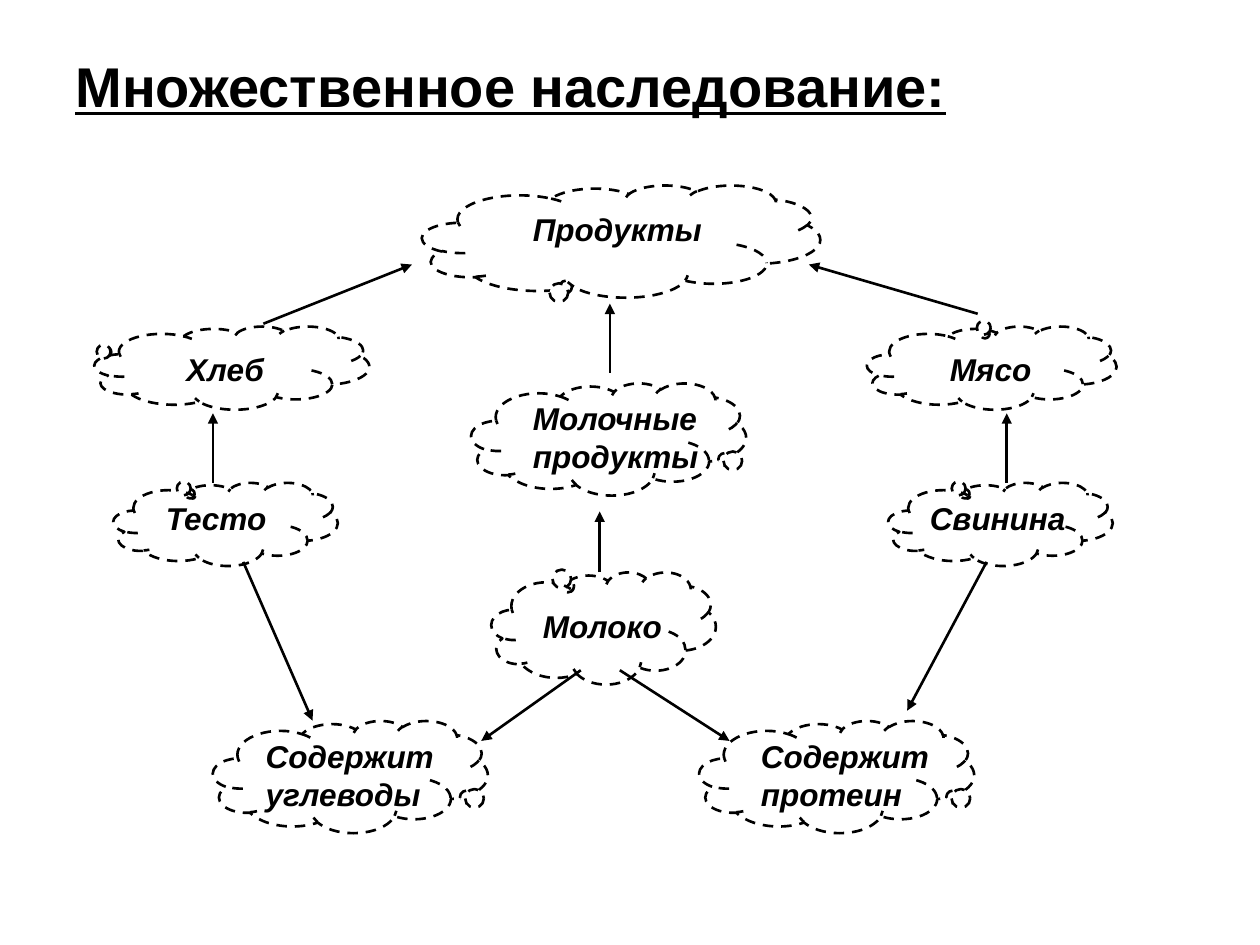
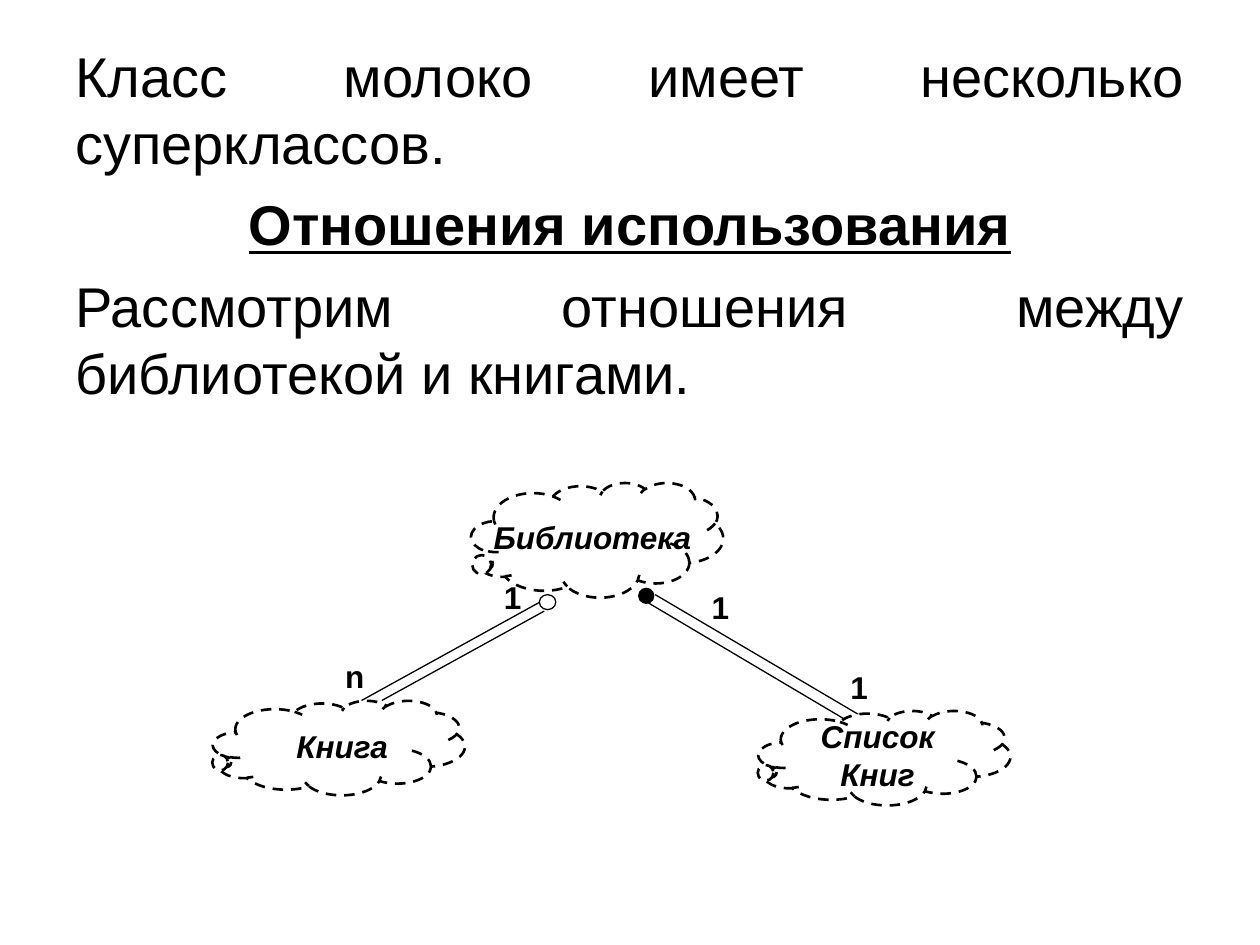
from lxml import etree
from pptx import Presentation
from pptx.dml.color import RGBColor
from pptx.enum.dml import MSO_LINE
from pptx.enum.shapes import MSO_CONNECTOR, MSO_SHAPE
from pptx.enum.text import MSO_ANCHOR, MSO_AUTO_SIZE, PP_ALIGN
from pptx.oxml.ns import qn
from pptx.util import Pt

CLOUD, OVAL = MSO_SHAPE.CLOUD_CALLOUT, MSO_SHAPE.OVAL
STRAIGHT = MSO_CONNECTOR.STRAIGHT
DASH = MSO_LINE.DASH
TOP = MSO_ANCHOR.TOP
GROW = MSO_AUTO_SIZE.SHAPE_TO_FIT_TEXT
LEFT, CENTER, JUSTIFY = PP_ALIGN.LEFT, PP_ALIGN.CENTER, PP_ALIGN.JUSTIFY

FONT, BLACK, WHITE = "Arial", "000000", "FFFFFF"
THICK, THIN = 1.5, 0.74

# Cloud box, tail offset, label, label box (left, top, width)
FOODS = [
    ((241.2, 105.8, 227.5, 64.1), (-0.134, 0.393), "Продукты", (297.4, 116.6, 175.7)),
    ((54, 186.5, 157, 47.5), (-0.461, -0.193), "Хлеб", (99.4, 196.6, 102.2)),
    ((269.3, 218.9, 157, 64.1), (0.414, 0.177), "Молочные продукты", (297.4, 224.6, 118.8)),
    ((495.4, 186.5, 142.6, 47.5), (-0.026, -0.393), "Мясо", (535.7, 196.6, 108)),
    ((280.8, 326.9, 128.2, 64.1), (-0.15, -0.353), "Молоко", (303.1, 343.4, 118.8)),
    ((64.8, 275.8, 128.2, 47.5), (-0.146, -0.337), "Тесто", (87.8, 281.5, 90.7)),
    ((507.6, 275.8, 128.2, 47.5), (-0.146, -0.337), "Свинина", (524.2, 281.5, 118.8)),
    ((121.7, 411.8, 157, 64.1), (0.414, 0.177), "Содержит углеводы", (144.7, 417.6, 118.8)),
    ((399.6, 411.8, 157, 64.1), (0.414, 0.177), "Содержит протеин", (427.7, 417.6, 118.8)),
]
# Child to parent: start x, y, end x, y
ARROWS = [
    (342.7, 326.9, 342.7, 292.3),
    (348.5, 213.1, 348.5, 173.5),
    (150.5, 185, 235.4, 151.2),
    (558.7, 179.3, 462.2, 151.2),
    (121.7, 275.8, 121.7, 236.2),
    (575.3, 275.8, 575.3, 236.2),
    (139, 321.1, 178.6, 411.8),
    (354.2, 383, 416.9, 423.4),
    (331.9, 383, 275, 423.4),
    (563.8, 321.1, 518.4, 406.1),
]
LIBRARY = [
    ((269.3, 275.8, 144, 65.5), (-0.445, 0.209), "Библиотека", (275, 292.3, 136.1), LEFT),
    ((433.4, 406.1, 144, 54), (-0.445, 0.149), "Список Книг", (445, 406.1, 113), CENTER),
    ((121.7, 400.3, 144, 54), (-0.445, 0.149), "Книга", (139, 411.8, 113), CENTER),
]
LINKS = [
    (206.6, 400.3, 311, 342.7),
    (218.2, 400.3, 311, 349.2),
    (488.9, 414.7, 368.6, 343.4),
    (491.8, 409, 374.4, 339.8),
]
KNOBS = [((308.2, 339.8, 9.4, 8.6), WHITE), ((365, 336.2, 8.6, 8.6), BLACK)]
COUNTS = [
    ("1", (399.6, 332.6, 22.3)),
    ("1", (478.8, 378, 23)),
    ("1", (280.8, 326.9, 22.3)),
    ("n", (190.1, 372.2, 28.1)),
]


def color(code):
    """Turn a hex string into a colour."""
    return RGBColor.from_string(code)


def points(nums):
    """Turn numbers into lengths in points."""
    return [Pt(n) for n in nums]


def add_form(slide, kind, box, fill, width):
    """Add a filled preset shape with a black outline."""
    form = slide.shapes.add_shape(kind, *points(box))
    form.shadow.inherit = False
    form.fill.solid()
    form.fill.fore_color.rgb = color(fill)
    form.line.color.rgb = color(BLACK)
    form.line.width = Pt(width)
    return form


def add_cloud(slide, box, tail):
    """Add a dashed cloud with its tail at the given offset."""
    cloud = add_form(slide, CLOUD, box, WHITE, THICK)
    cloud.line.dash_style = DASH
    for i, shift in enumerate(tail):
        cloud.adjustments[i] = shift


def add_line(slide, ends, width, head=False):
    """Add a straight black line, with an arrowhead if asked."""
    line = slide.shapes.add_connector(STRAIGHT, *points(ends))
    line.line.color.rgb = color(BLACK)
    line.line.width = Pt(width)
    if head:
        tip = etree.SubElement(line.line._get_or_add_ln(), qn("a:tailEnd"))
        tip.set("type", "triangle")
    etree.SubElement(line._element.spPr, qn("a:effectLst"))


def add_frame(slide, box):
    """Add a wrapping text box and return its frame."""
    frame = slide.shapes.add_textbox(*points(box)).text_frame
    frame.word_wrap = True
    frame.vertical_anchor = TOP
    return frame


def style(para, size, gap, align, bold=False, italic=False, under=False):
    """Format one paragraph and its runs."""
    para.alignment = align
    para.space_before = Pt(gap)
    for run in para.runs:
        font = run.font
        font.name, font.size = FONT, Pt(size)
        font.bold, font.italic, font.underline = bold, italic, under
        font.color.rgb = color(BLACK)


def add_label(slide, text, box, align=LEFT, italic=True):
    """Add a bold label whose box grows with its text."""
    frame = add_frame(slide, (*box, 50.4 if " " in text else 28.8))
    frame.auto_size = GROW
    frame.text = text
    style(frame.paragraphs[0], 18, 11.2, align, bold=True, italic=italic)


def add_body(slide, top, height, items):
    """Add large text from (text, alignment, is heading) items."""
    frame = add_frame(slide, (36, top, 648, height))
    frame.text = "\n".join(item[0] for item in items)
    for para, (_, align, head) in zip(frame.paragraphs, items):
        style(para, 32, 8, align, bold=head, under=head)


def build_foods(slide):
    """Draw the multiple inheritance slide."""
    add_body(slide, 25.9, 456.5, [("Множественное наследование:", LEFT, True)])
    for box, tail, _, _ in FOODS:
        add_cloud(slide, box, tail)
    for _, _, text, spot in FOODS:
        add_label(slide, text, spot)
    for ends in ARROWS:
        add_line(slide, ends, THICK, head=True)


def build_library(slide):
    """Draw the slide on use relations."""
    add_body(slide, 20.2, 461.5, [
        ("Класс молоко имеет несколько суперклассов.", JUSTIFY, False),
        ("Отношения использования", CENTER, True),
        ("Рассмотрим отношения между библиотекой и книгами.", JUSTIFY, False),
    ])
    for ends in LINKS:
        add_line(slide, ends, THIN)
    for box, fill in KNOBS:
        add_form(slide, OVAL, box, fill, THIN)
    for box, tail, _, _, _ in LIBRARY:
        add_cloud(slide, box, tail)
    for _, _, text, spot, align in LIBRARY:
        add_label(slide, text, spot, align)
    for text, spot in COUNTS:
        add_label(slide, text, spot, italic=False)


def main():
    """Build both slides and save them."""
    deck = Presentation()
    deck.slide_width, deck.slide_height = Pt(720), Pt(540)
    for build in (build_foods, build_library):
        build(deck.slides.add_slide(deck.slide_layouts[6]))
    deck.save("out.pptx")


main()
